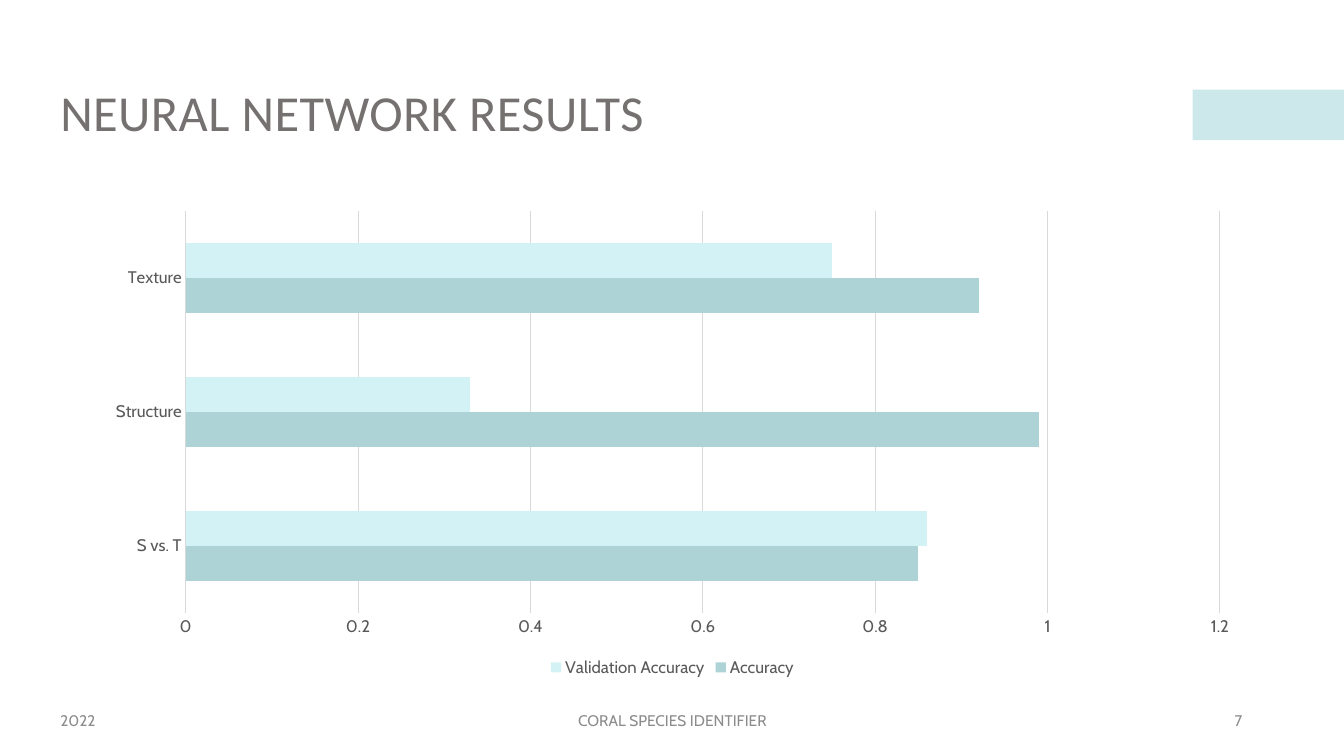
from lxml import etree
from pptx import Presentation
from pptx import util as u
from pptx.chart import data as chart_data
from pptx.dml import color
from pptx.enum import chart as ch, shapes, text
from pptx.oxml import ns

ALIGN = text.PP_ALIGN


def rgb(value):
    """Turn a hex string into a colour."""
    return color.RGBColor.from_string(value)


def style_font(font, size, tone, name="Cabin"):
    """Set the face, size and colour of a font."""
    font.name = name
    font.size = u.Pt(size)
    font.bold = False
    font.color.rgb = rgb(tone)


def add_label(page, box, words, size, tone, name="Cabin", align=ALIGN.LEFT):
    """Add one vertically centred line of text and return its paragraph."""
    label = page.shapes.add_textbox(*map(u.Inches, box))
    frame = label.text_frame
    frame.word_wrap = True
    frame.vertical_anchor = text.MSO_ANCHOR.MIDDLE
    frame.text = words
    para = frame.paragraphs[0]
    para.alignment = align
    style_font(para.runs[0].font, size, tone, name)
    return para


def add_accent(page, box):
    """Add the half transparent block at the right edge."""
    accent = page.shapes.add_shape(shapes.MSO_SHAPE.RECTANGLE, *map(u.Inches, box))
    accent.shadow.inherit = False
    accent.line.fill.background()
    accent.fill.solid()
    accent.fill.fore_color.rgb = rgb("9CD3D9")
    tone = accent._element.spPr.find(".//" + ns.qn("a:srgbClr"))
    etree.SubElement(tone, ns.qn("a:alpha")).set("val", "50000")


def add_title(page, box):
    """Add the slightly letterspaced heading."""
    para = add_label(page, box, "NEURAL NETWORK RESULTS", 36, "767171", "Calibri")
    para.line_spacing = 0.9
    para.runs[0]._r.get_or_add_rPr().set("spc", "30")


def style_axis(axis):
    """Remove tick marks and set the axis labels."""
    axis.major_tick_mark = axis.minor_tick_mark = ch.XL_TICK_MARK.NONE
    style_font(axis.tick_labels.font, 12, "595959")


def style_rule(line):
    """Make a chart line thin and grey."""
    line.color.rgb = rgb("D9D9D9")
    line.width = u.Pt(0.75)


def add_results(page, box):
    """Add the bar chart of accuracies by network."""
    results = chart_data.CategoryChartData()
    results.categories = ["S vs. T", "Structure", "Texture"]
    results.add_series("Accuracy", (0.85, 0.99, 0.92))
    results.add_series("Validation Accuracy", (0.86, 0.33, 0.75))
    frame = page.shapes.add_chart(
        ch.XL_CHART_TYPE.BAR_CLUSTERED, *map(u.Inches, box), results)
    chart = frame.chart
    chart.has_title = False
    style_font(chart.font, 10, "000000")

    plot = chart.plots[0]
    plot.gap_width = 182
    plot.vary_by_categories = False
    for series, tone in zip(plot.series, ("AED3D7", "D3F2F5")):
        series.format.fill.solid()
        series.format.fill.fore_color.rgb = rgb(tone)

    style_axis(chart.category_axis)
    style_rule(chart.category_axis.format.line)
    values = chart.value_axis
    style_axis(values)
    values.format.line.fill.background()
    values.minimum_scale, values.maximum_scale, values.major_unit = 0, 1.2, 0.2
    values.has_major_gridlines = True
    style_rule(values.major_gridlines.format.line)
    values.tick_labels.number_format = "General"
    values.tick_labels.number_format_is_linked = False

    chart.has_legend = True
    chart.legend.position = ch.XL_LEGEND_POSITION.BOTTOM
    chart.legend.include_in_layout = False
    style_font(chart.legend.font, 12, "595959")


def add_footer(page, box):
    """Add the date, deck name and page number along the bottom."""
    left, top, width, height = box
    side, middle = 3, 4.5
    parts = (
        ("2022", left, side, ALIGN.LEFT),
        ("CORAL SPECIES IDENTIFIER", left + (width - middle) / 2 - 0.04 + 0.25,
         middle, ALIGN.CENTER),
        ("7", left + width - side, side, ALIGN.RIGHT),
    )
    for words, start, span, align in parts:
        add_label(page, (start, top, span, height), words, 11, "8C8C8C", align=align)


def main():
    """Build the slide and save the deck."""
    deck = Presentation()
    deck.slide_width, deck.slide_height = u.Inches(13.33), u.Inches(7.5)
    page = deck.slides.add_slide(deck.slide_layouts[6])
    add_accent(page, (11.83, 0.89, 1.5, 0.5))
    add_title(page, (0.5, 0.42, 12.33, 1.45))
    add_results(page, (0.92, 2, 11.5, 4.76))
    add_footer(page, (0.5, 6.95, 11.92, 0.4))
    deck.save("out.pptx")


if __name__ == "__main__":
    main()
